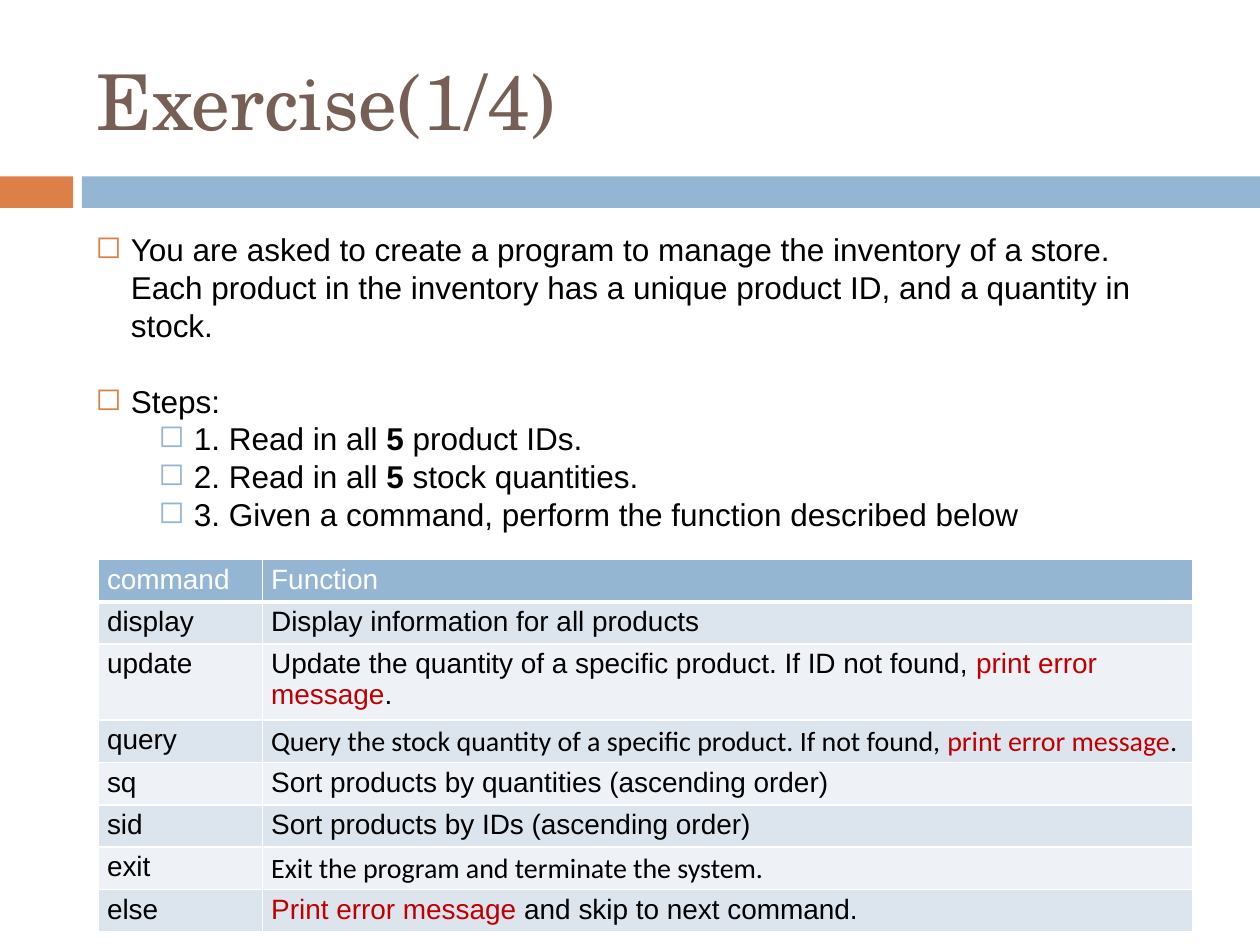
from dataclasses import dataclass

from lxml.etree import SubElement
from pptx import Presentation
from pptx.dml.color import RGBColor
from pptx.enum.shapes import MSO_SHAPE
from pptx.enum.text import MSO_ANCHOR
from pptx.oxml.ns import qn
from pptx.util import Inches, Pt

COLUMNS, ROWS = 100, 75
WIDTH, HEIGHT = Inches(10), Inches(7.5)
ORANGE, BLUE, BROWN = "DD8047", "94B6D2", "775F55"
BLACK, WHITE, RED = "000000", "FFFFFF", "C00000"
BANDS = ("DCE5EE", "EEF2F7")
LINE_PITCH = 21.6


@dataclass(frozen=True)
class Area:
    """Place on the slide, in grid columns and rows."""
    left: float
    top: float
    width: float
    height: float

    def emu(self) -> tuple[int, int, int, int]:
        """Return the place as slide lengths."""
        return across(self.left), down(self.top), across(self.width), down(self.height)


@dataclass(frozen=True)
class Point:
    """Bulleted line of the body; asterisks enclose bold words."""
    text: str
    indent: float = 2.8
    bullet: str = ORANGE
    gap: float = 0


@dataclass(frozen=True)
class Command:
    """Table line; asterisks enclose the red words."""
    name: str
    function: str
    face: str = "Arial"


POINTS = (
    Point("You are asked to create a program to manage the inventory of a store. "
          "Each product in the inventory has a unique product ID, and a quantity in stock."),
    Point("Steps:", gap=LINE_PITCH),
    Point("1. Read in all *5* product IDs.", 7.8, BLUE),
    Point("2. Read in all *5* stock quantities.", 7.8, BLUE),
    Point("3. Given a command, perform the function described below", 7.8, BLUE),
)
COMMANDS = (
    Command("command", "Function"),
    Command("display", "Display information for all products"),
    Command("update", "Update the quantity of a specific product. If ID not found, *print error message*."),
    Command("query", "Query the stock quantity of a specific product. If not found, *print error message*.", "Calibri"),
    Command("sq", "Sort products by quantities (ascending order)"),
    Command("sid", "Sort products by IDs (ascending order)"),
    Command("exit", "Exit the program and terminate the system.", "Calibri"),
    Command("else", "*Print error message* and skip to next command."),
)


def across(columns: float) -> int:
    """Convert grid columns to a length."""
    return round(WIDTH * columns / COLUMNS)


def down(rows: float) -> int:
    """Convert grid rows to a length."""
    return round(HEIGHT * rows / ROWS)


def paint(target, color: str) -> None:
    """Give a fill a solid hex colour."""
    target.solid()
    target.fore_color.rgb = RGBColor.from_string(color)


def write(paragraph, text: str, *, size: float, face: str = "Arial", color: str = BLACK,
          accent: str | None = None, strong: bool = False) -> None:
    """Write text, giving words between asterisks the accent colour or weight."""
    for index, words in enumerate(text.split("*")):
        if words:
            marked = index % 2 == 1
            run = paragraph.add_run()
            run.text = words
            run.font.size, run.font.name = Pt(size), face
            run.font.bold = marked and strong
            paint(run.font.fill, accent if marked and accent else color)


def draw_band(slide, area: Area, color: str) -> None:
    """Draw a plain coloured band."""
    band = slide.shapes.add_shape(MSO_SHAPE.RECTANGLE, *area.emu())
    band.shadow.inherit = False
    band.line.fill.background()
    paint(band.fill, color)


def add_frame(slide, area: Area, anchor: MSO_ANCHOR = MSO_ANCHOR.TOP):
    """Add a wrapping text box and return its text frame."""
    frame = slide.shapes.add_textbox(*area.emu()).text_frame
    frame.word_wrap, frame.vertical_anchor = True, anchor
    return frame


def set_bullet(paragraph, point: Point) -> None:
    """Give a paragraph its hanging square bullet."""
    properties = paragraph._p.get_or_add_pPr()
    properties.set("marL", str(across(point.indent)))
    properties.set("indent", str(across(-2.8)))
    tint = SubElement(properties, qn("a:buClr"))
    SubElement(tint, qn("a:srgbClr"), val=point.bullet)
    SubElement(properties, qn("a:buChar"), char="◻")


def draw_points(slide, area: Area, points: tuple[Point, ...]) -> None:
    """Draw the bulleted body."""
    frame = add_frame(slide, area)
    for index, point in enumerate(points):
        paragraph = frame.add_paragraph() if index else frame.paragraphs[0]
        paragraph.line_spacing, paragraph.space_before = Pt(LINE_PITCH), Pt(point.gap)
        set_bullet(paragraph, point)
        write(paragraph, point.text, size=18, strong=True)


def set_borders(cell, bottom: float, top: float) -> None:
    """Give a cell white borders."""
    properties = cell._tc.get_or_add_tcPr()
    for side, weight in (("L", 1), ("R", 1), ("T", top), ("B", bottom)):
        border = SubElement(properties, qn(f"a:ln{side}"), w=str(Pt(weight)))
        solid = SubElement(border, qn("a:solidFill"))
        SubElement(solid, qn("a:srgbClr"), val=WHITE)


def draw_commands(slide, area: Area, commands: tuple[Command, ...], shares: tuple[float, float]) -> None:
    """Draw the command table with a header and alternating bands."""
    table = slide.shapes.add_table(len(commands), len(shares), *area.emu()).table
    table.first_row = table.horz_banding = False
    for column, share in zip(table.columns, shares):
        column.width = across(area.width * share)
    for index, command in enumerate(commands):
        header = index == 0
        entries = ((command.name, "Arial"), (command.function, command.face))
        for cell, (text, face) in zip(table.rows[index].cells, entries):
            cell.margin_left = cell.margin_right = Pt(5)
            cell.margin_top = cell.margin_bottom = Pt(2.5)
            set_borders(cell, bottom=3 if header else 1, top=3 if index == 1 else 1)
            paint(cell.fill, BLUE if header else BANDS[(index - 1) % 2])
            write(cell.text_frame.paragraphs[0], text, size=16, face=face,
                  color=WHITE if header else BLACK, accent=RED)


def main() -> None:
    """Build and save the exercise slide."""
    deck = Presentation()
    deck.slide_width, deck.slide_height = WIDTH, HEIGHT
    slide = deck.slides.add_slide(deck.slide_layouts[6])
    draw_band(slide, Area(0, 14, 5.8, 2.5), ORANGE)
    draw_band(slide, Area(6.5, 14, 93.5, 2.5), BLUE)
    title = add_frame(slide, Area(6.7, 2.5, 89.2, 10.8), MSO_ANCHOR.MIDDLE)
    write(title.paragraphs[0], "Exercise(1/4)", size=44, face="TeX Gyre Schola", color=BROWN)
    draw_points(slide, Area(6.6, 17.8, 86.2, 53.9), POINTS)
    draw_commands(slide, Area(7.8, 44.4, 86.9, 21.6), COMMANDS, (0.15, 0.85))
    deck.save("out.pptx")


if __name__ == "__main__":
    main()
